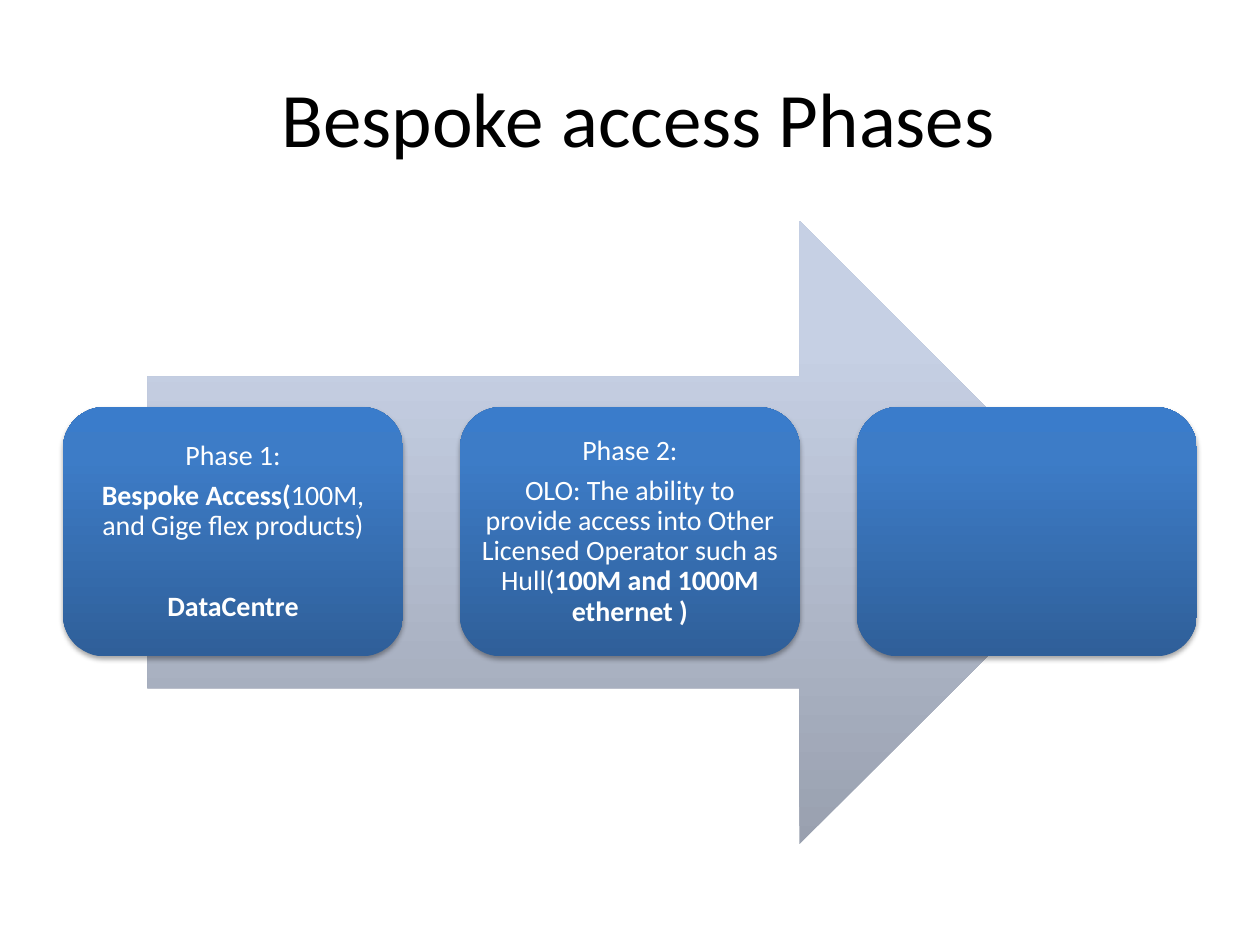
"""Build the slide of bespoke access phases."""
from dataclasses import dataclass
from typing import Any

import lxml.etree
import pptx
import pptx.dml.color
import pptx.enum.shapes
import pptx.enum.text
import pptx.oxml.ns
import pptx.util

Inch = pptx.util.Inches
Pt = pptx.util.Pt
Kind = pptx.enum.shapes.MSO_SHAPE
qn = pptx.oxml.ns.qn


@dataclass(frozen=True)
class Theme:
    """Colours, type and gradient stops."""
    font: str = "Calibri"
    head: int = 44
    body: int = 16
    dark: str = "000000"
    light: str = "FFFFFF"
    arrow: tuple = ((0, "99A0AF"), (80, "C6D0E4"), (100, "C7D1E5"))
    card: tuple = ((0, "2F5F99"), (80, "3D7CC7"), (100, "3A7CCB"))


@dataclass(frozen=True)
class Line:
    """A paragraph of (text, bold) runs with space above."""
    runs: tuple
    above: float = 0


@dataclass(frozen=True)
class Grid:
    """Row of equal cards."""
    left: float = 0.5
    top: float = 3.23
    wide: float = 2.7
    high: float = 1.98
    gap: float = 0.45

    def box(self, col: int) -> tuple:
        """Return the place of one card."""
        return (self.left + col * (self.wide + self.gap), self.top, self.wide, self.high)


THEME = Theme()
GRID = Grid()
CARDS = (
    (
        Line((("Phase 1:", False),)),
        Line((("Bespoke Access(", True), ("100M, and Gige flex products)", False))),
        Line((("DataCentre", True),), 23),
    ),
    (
        Line((("Phase 2:", False),)),
        Line((
            ("OLO: The ability to provide access into Other Licensed Operator such as Hull(", False),
            ("100M and 1000M ethernet )", True),
        )),
    ),
    (),
)


def put(item: Any, form: dict) -> None:
    """Set attributes from a dict of values."""
    for key, value in form.items():
        setattr(item, key, value)


def style(run: Any, size: int, tint: str, bold: bool = False) -> None:
    """Format one run."""
    put(run.font, {"name": THEME.font, "size": Pt(size), "bold": bold})
    run.font.color.rgb = pptx.dml.color.RGBColor.from_string(tint)


def draw(slide: Any, kind: Any, box: tuple, stops: tuple) -> Any:
    """Add a shape that fades from bottom to top."""
    shape = slide.shapes.add_shape(kind, *map(Inch, box))
    shape.shadow.inherit = False
    shape.line.fill.background()
    shape.fill.gradient()
    shape.fill.gradient_angle = 90
    fade = shape._element.spPr.find(".//" + qn("a:gsLst"))
    for old in list(fade):
        fade.remove(old)
    for pos, tint in stops:
        stop = lxml.etree.SubElement(fade, qn("a:gs"), pos=str(pos * 1000))
        lxml.etree.SubElement(stop, qn("a:srgbClr"), val=tint)
    return shape


def shade(shape: Any) -> None:
    """Cast a soft shadow below a shape."""
    holder = shape._element.spPr.find(qn("a:effectLst"))
    cast = lxml.etree.SubElement(
        holder, qn("a:outerShdw"), blurRad=str(Pt(3.1)), dist=str(Pt(1.8)),
        dir="5400000", rotWithShape="0")
    tint = lxml.etree.SubElement(cast, qn("a:srgbClr"), val=THEME.dark)
    lxml.etree.SubElement(tint, qn("a:alpha"), val="35000")


def write(shape: Any, lines: tuple) -> None:
    """Fill a card with centred lines."""
    frame = shape.text_frame
    inset = Inch(0.07)
    put(frame, {
        "word_wrap": True, "vertical_anchor": pptx.enum.text.MSO_ANCHOR.MIDDLE,
        "margin_left": inset, "margin_right": inset,
        "margin_top": inset, "margin_bottom": inset,
    })
    for num, line in enumerate(lines):
        para = frame.add_paragraph() if num else frame.paragraphs[0]
        put(para, {
            "alignment": pptx.enum.text.PP_ALIGN.CENTER, "line_spacing": 0.9,
            "space_before": Pt(line.above), "space_after": Pt(0.35 * THEME.body),
        })
        for text, bold in line.runs:
            run = para.add_run()
            run.text = text
            style(run, THEME.body, THEME.light, bold)


def main() -> None:
    """Build and save the deck."""
    deck = pptx.Presentation()
    put(deck, {"slide_width": Inch(10), "slide_height": Inch(7.5)})
    slide = deck.slides.add_slide(deck.slide_layouts[5])
    title = slide.shapes.title
    put(title, {"left": Inch(0.5), "top": Inch(0.3), "width": Inch(9), "height": Inch(1.25)})
    title.text_frame.text = " Bespoke access Phases"
    para = title.text_frame.paragraphs[0]
    para.alignment = pptx.enum.text.PP_ALIGN.CENTER
    style(para.runs[0], THEME.head, THEME.dark)
    draw(slide, Kind.RIGHT_ARROW, (1.17, 1.75, 7.65, 4.95), THEME.arrow)
    for col, lines in enumerate(CARDS):
        card = draw(slide, Kind.ROUNDED_RECTANGLE, GRID.box(col), THEME.card)
        shade(card)
        write(card, lines)
    deck.save("out.pptx")


main()
